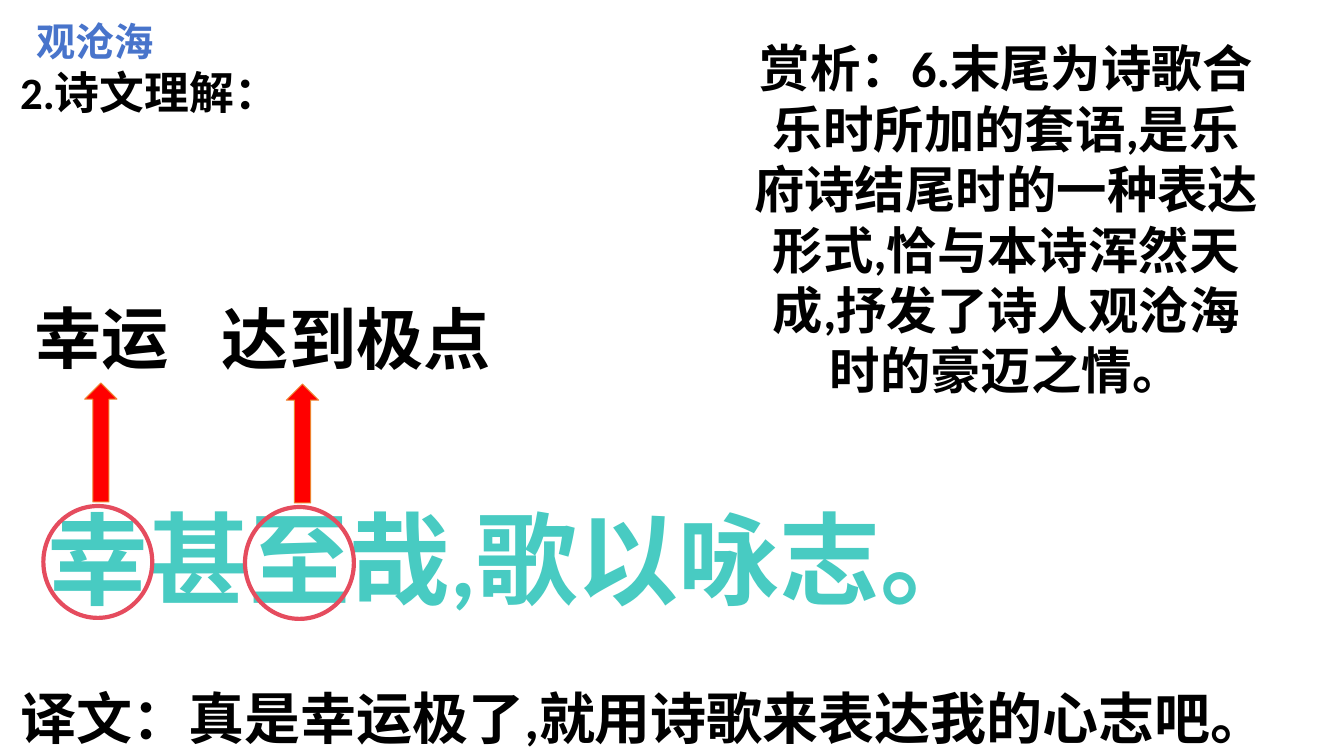
from dataclasses import dataclass

from pptx import Presentation
from pptx.dml.color import RGBColor
from pptx.enum import shapes, text
from pptx.util import Inches, Pt


@dataclass(frozen=True)
class Theme:
    font: str = "Calibri"
    ink: str = "000000"
    teal: str = "48CBC2"
    blue: str = "4874CB"
    rose: str = "E54C5E"
    red: str = "FF0000"
    orange: str = "EE822F"
    verse: int = 72
    gloss: int = 48
    translation: int = 40
    comment: int = 36
    section: int = 32
    title: int = 28
    ring_line: float = 3
    arrow_line: float = 0.75


class PoemSlide:
    def __init__(self, slide, theme):
        self.slide = slide
        self.theme = theme

    def add_lines(self, lines, box, size, gradient=None, wrap=False):
        """Add centred bold lines; gradient is a (start, end) colour pair."""
        frame = self.slide.shapes.add_textbox(*map(Inches, box)).text_frame
        frame.word_wrap = wrap
        frame.auto_size = text.MSO_AUTO_SIZE.SHAPE_TO_FIT_TEXT
        frame.text = "\n".join(lines)
        for paragraph in frame.paragraphs:
            paragraph.alignment = text.PP_ALIGN.CENTER
            font = paragraph.font
            font.name, font.size, font.bold = self.theme.font, Pt(size), True
            if gradient:
                font.fill.gradient()
                font.fill.gradient_angle = 315
                for stop, colour in zip(font.fill.gradient_stops, gradient):
                    stop.color.rgb = RGBColor.from_string(colour)
            else:
                font.color.rgb = RGBColor.from_string(self.theme.ink)

    def outline(self, kind, box, line, width):
        shape = self.slide.shapes.add_shape(kind, *map(Inches, box))
        shape.shadow.inherit = False
        shape.line.color.rgb = RGBColor.from_string(line)
        shape.line.width = Pt(width)
        shape.fill.background()
        return shape

    def ring(self, left, top):
        self.outline(shapes.MSO_SHAPE.FLOWCHART_CONNECTOR, (left, top, 1.08, 1.11),
                     self.theme.rose, self.theme.ring_line)

    def up_arrow(self, left, top):
        arrow = self.outline(shapes.MSO_SHAPE.UP_ARROW, (left, top, 0.32, 1.18),
                             self.theme.orange, self.theme.arrow_line)
        arrow.fill.solid()
        arrow.fill.fore_color.rgb = RGBColor.from_string(self.theme.red)

    def gloss(self, meaning, box, ring_left, arrow_left):
        """Ring a character of the verse and point up to its meaning."""
        top = box[1]
        self.ring(ring_left, top + 2.13)
        self.up_arrow(arrow_left, top + 0.91)
        self.add_lines([meaning], box, self.theme.gloss)


def main():
    presentation = Presentation()
    presentation.slide_width = Inches(13.33)
    presentation.slide_height = Inches(7.5)
    theme = Theme()
    poem = PoemSlide(presentation.slides.add_slide(presentation.slide_layouts[6]), theme)

    poem.add_lines(["幸甚至哉,歌以咏志。"], (0.37, 4.88, 9.46, 1.31), theme.verse,
                   gradient=(theme.teal, theme.blue))
    poem.add_lines(["观沧海"], (0.1, 0.12, 1.68, 0.57), theme.title,
                   gradient=(theme.blue, theme.rose), wrap=True)
    poem.gloss("幸运", (0.24, 2.89, 1.53, 0.91), ring_left=0.43, arrow_left=0.84)
    poem.gloss("达到极点", (2.1, 2.9, 2.87, 0.91), ring_left=2.43, arrow_left=2.84)
    poem.add_lines(["译文：真是幸运极了,就用诗歌来表达我的心志吧。"],
                   (0.1, 6.73, 12.57, 0.77), theme.translation)
    comment = [
        "赏析：6.末尾为诗歌合",
        "乐时所加的套语,是乐",
        "府诗结尾时的一种表达",
        "形式,恰与本诗浑然天",
        "成,抒发了诗人观沧海",
        "时的豪迈之情。",
    ]
    poem.add_lines(comment, (7.38, 0.32, 5.2, 3.73), theme.comment)
    poem.add_lines(["2.诗文理解："], (0, 0.59, 2.97, 0.64), theme.section, wrap=True)
    presentation.save("out.pptx")


if __name__ == "__main__":
    main()
